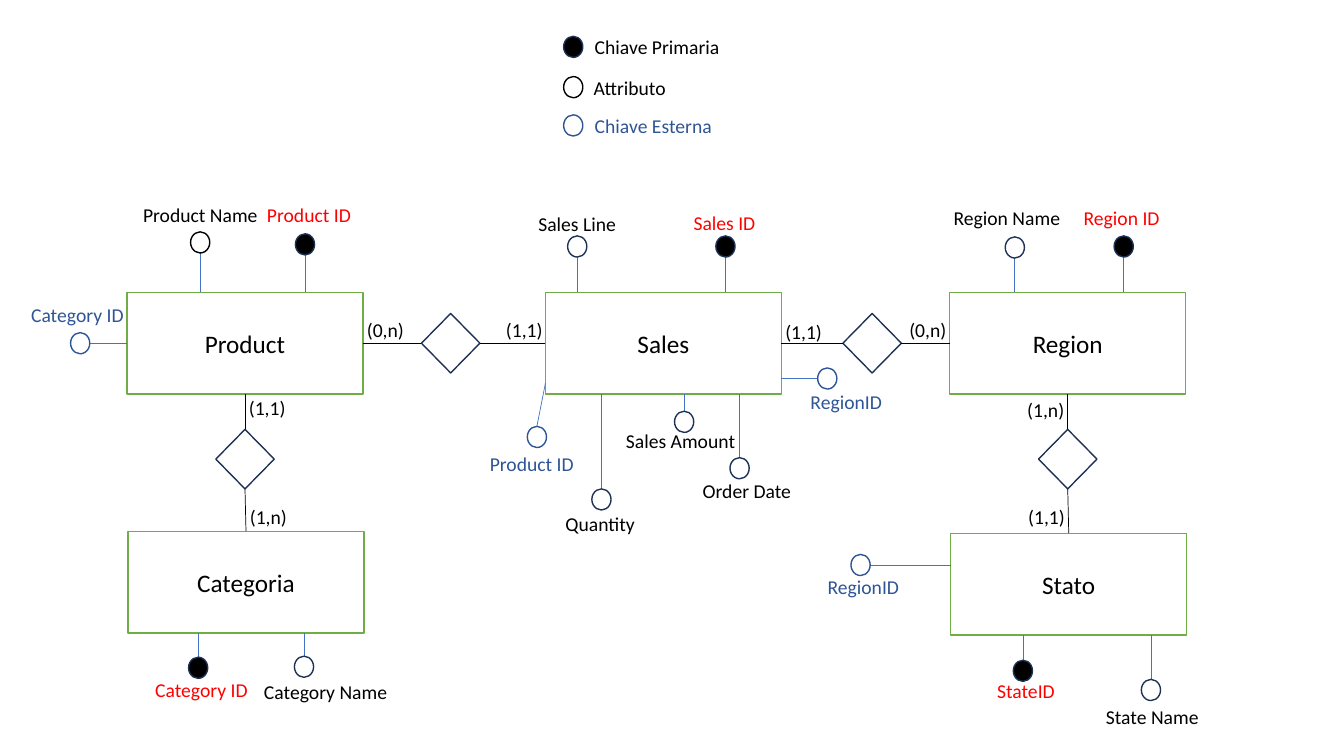
from dataclasses import dataclass

from lxml import etree
from pptx import Presentation
from pptx.dml.color import RGBColor
from pptx.enum.shapes import MSO_CONNECTOR, MSO_SHAPE
from pptx.enum.text import MSO_ANCHOR, MSO_AUTO_SIZE, PP_ALIGN
from pptx.oxml.ns import qn
from pptx.util import Inches, Pt

RECT, DIAMOND, OVAL = MSO_SHAPE.RECTANGLE, MSO_SHAPE.DIAMOND, MSO_SHAPE.OVAL
STRAIGHT = MSO_CONNECTOR.STRAIGHT
MIDDLE, CENTER = MSO_ANCHOR.MIDDLE, PP_ALIGN.CENTER
GROW = MSO_AUTO_SIZE.SHAPE_TO_FIT_TEXT
TOP, LEFT, BOTTOM, RIGHT = range(4)


@dataclass(frozen=True)
class Theme:
    font: str = "Calibri"
    entity_size: int = 18
    label_size: int = 14
    outline: float = 1
    hairline: float = 0.5
    black: str = "000000"
    white: str = "FFFFFF"
    green: str = "70AD47"
    navy: str = "1E3256"
    blue: str = "2F5597"
    link: str = "4472C4"
    red: str = "FF0000"


@dataclass(frozen=True)
class Kind:
    fill: str | None
    line: str
    text: str


@dataclass(frozen=True)
class Attribute:
    kind: Kind
    label: str
    side: int
    dot: tuple
    text: tuple
    width: float
    anchor: tuple | None = None


THEME = Theme()
PRIMARY = Kind(THEME.black, THEME.navy, THEME.red)
PLAIN = Kind(None, THEME.navy, THEME.black)
NAMED = Kind(THEME.white, THEME.black, THEME.black)
FOREIGN = Kind(None, THEME.blue, THEME.blue)

ENTITY_W, ENTITY_H = 2.34, 1.01
DOT_W, DOT_H = 0.19, 0.21
DIAMOND_W, DIAMOND_H = 0.58, 0.59
LABEL_H, CARDINALITY_W = 0.34, 0.57

ENTITIES = {
    "Product": ((1.26, 2.9), [
        Attribute(PRIMARY, "Product ID", TOP, (1.67, -0.58), (1.29, -0.94), 1.04),
        Attribute(NAMED, "Product Name", TOP, (0.63, -0.6), (0.06, -0.94), 1.35),
        Attribute(FOREIGN, "Category ID", LEFT, (-0.56, 0.4), (-1.05, 0.06), 1.13),
    ]),
    "Sales": ((5.41, 2.9), [
        Attribute(PLAIN, "Sales Line", TOP, (0.22, -0.56), (-0.17, -0.85), 0.98),
        Attribute(PRIMARY, "Sales ID", TOP, (1.69, -0.56), (1.37, -0.86), 0.82),
        Attribute(FOREIGN, "Product ID", BOTTOM, (-0.18, 1.33), (-0.65, 1.53), 1.04, (0, 0.9)),
        Attribute(PLAIN, "Quantity", BOTTOM, (0.46, 1.95), (0.1, 2.13), 0.9),
        Attribute(PLAIN, "Sales Amount", BOTTOM, (1.28, 1.18), (0.7, 1.31), 1.3),
        Attribute(PLAIN, "Order Date", BOTTOM, (1.83, 1.64), (1.46, 1.8), 1.09),
        Attribute(FOREIGN, "RegionID", RIGHT, (2.7, 0.75), (2.53, 0.92), 0.92),
    ]),
    "Region": ((9.42, 2.9), [
        Attribute(PLAIN, "Region Name", TOP, (0.55, -0.55), (-0.06, -0.91), 1.27),
        Attribute(PRIMARY, "Region ID", TOP, (1.63, -0.56), (1.23, -0.91), 0.96),
    ]),
    "Categoria": ((1.27, 5.27), [
        Attribute(PRIMARY, "Category ID", BOTTOM, (0.6, 1.25), (0.17, 1.41), 1.13),
        Attribute(PLAIN, "Category Name", BOTTOM, (1.65, 1.24), (1.25, 1.43), 1.44),
    ]),
    "Stato": ((9.43, 5.29), [
        Attribute(FOREIGN, "RegionID", LEFT, (-0.99, 0.21), (-1.32, 0.36), 0.92),
        Attribute(PRIMARY, "StateID", BOTTOM, (0.62, 1.26), (0.36, 1.4), 0.78),
        Attribute(PLAIN, "State Name", BOTTOM, (1.89, 1.45), (1.44, 1.65), 1.13),
    ]),
}

RELATIONS = [
    ("Product", RIGHT, "Sales", LEFT, (4.18, 3.11),
     [("(0,n)", -0.64, 0), ("(1,1)", 0.74, 0)]),
    ("Sales", RIGHT, "Region", LEFT, (8.36, 3.11),
     [("(1,1)", -0.67, 0.01), ("(0,n)", 0.56, 0)]),
    ("Product", BOTTOM, "Categoria", TOP, (2.14, 4.26),
     [("(1,1)", 0.23, -0.38), ("(1,n)", 0.24, 0.7)]),
    ("Region", BOTTOM, "Stato", TOP, (10.3, 4.26),
     [("(1,n)", -0.21, -0.36), ("(1,1)", -0.2, 0.7)]),
]

LEGEND = [
    (PRIMARY, "Chiave Primaria", THEME.black, 0, 0.21, 1.45),
    (NAMED, "Attributo", THEME.black, 0.4, 0.2, 0.93),
    (FOREIGN, "Chiave Esterna", THEME.blue, 0.78, 0.21, 1.38),
]


def add_outlined(slide, preset, x, y, w, h, fill, line):
    sp = slide.shapes.add_shape(preset, Inches(x), Inches(y), Inches(w), Inches(h))
    sp.shadow.inherit = False
    if fill:
        sp.fill.solid()
        sp.fill.fore_color.rgb = RGBColor.from_string(fill)
    else:
        sp.fill.background()
    sp.line.color.rgb = RGBColor.from_string(line)
    sp.line.width = Pt(THEME.outline)
    return sp


def add_run(p, text, size, color):
    r = p.add_run()
    r.text = text
    r.font.name = THEME.font
    r.font.size = Pt(size)
    r.font.color.rgb = RGBColor.from_string(color)


def add_label(slide, text, x, y, w, color):
    tf = slide.shapes.add_textbox(Inches(x), Inches(y), Inches(w), Inches(LABEL_H)).text_frame
    tf.word_wrap = False
    tf.auto_size = GROW
    add_run(tf.paragraphs[0], text, THEME.label_size, color)


def add_line(slide, start, end, color):
    cx = slide.shapes.add_connector(STRAIGHT, *(Inches(v) for v in (*start, *end)))
    cx.line.color.rgb = RGBColor.from_string(color)
    cx.line.width = Pt(THEME.hairline)
    etree.SubElement(cx._element.spPr, qn("a:effectLst"))
    return cx


def side_middle(x, y, w, h, side):
    return [(x + w / 2, y), (x, y + h / 2), (x + w / 2, y + h), (x + w, y + h / 2)][side]


def add_attribute(slide, sp, x, y, attr):
    dot_x, dot_y = x + attr.dot[0], y + attr.dot[1]
    start = side_middle(dot_x, dot_y, DOT_W, DOT_H, (attr.side + 2) % 4)
    middle = side_middle(x, y, ENTITY_W, ENTITY_H, attr.side)
    if attr.anchor:
        end = x + attr.anchor[0], y + attr.anchor[1]
    elif attr.side in (TOP, BOTTOM):
        end = start[0], middle[1]
    else:
        end = middle[0], start[1]
    cx = add_line(slide, start, end, THEME.link)
    if max(abs(end[0] - middle[0]), abs(end[1] - middle[1])) < 0.01:
        cx.end_connect(sp, attr.side)
    add_outlined(slide, OVAL, dot_x, dot_y, DOT_W, DOT_H, attr.kind.fill, attr.kind.line)
    add_label(slide, attr.label, x + attr.text[0], y + attr.text[1], attr.width, attr.kind.text)


def add_entity(slide, name, x, y, attributes):
    sp = add_outlined(slide, RECT, x, y, ENTITY_W, ENTITY_H, THEME.white, THEME.green)
    tf = sp.text_frame
    tf.vertical_anchor = MIDDLE
    p = tf.paragraphs[0]
    p.alignment = CENTER
    add_run(p, name, THEME.entity_size, THEME.black)
    for attr in attributes:
        add_attribute(slide, sp, x, y, attr)
    return sp


def add_relation(slide, x, y, ends, cardinalities):
    diamond = add_outlined(slide, DIAMOND, x, y, DIAMOND_W, DIAMOND_H, None, THEME.navy)
    for (entity, side), (text, dx, dy) in zip(ends, cardinalities):
        cx = add_line(slide, (x, y), (x, y), THEME.black)
        cx.begin_connect(entity, side)
        cx.end_connect(diamond, (side + 2) % 4)
        add_label(slide, text, x + dx, y + dy, CARDINALITY_W, THEME.black)


def add_legend(slide, x, y):
    for kind, text, color, dy, dx, width in LEGEND:
        add_outlined(slide, OVAL, x, y + dy, DOT_W, DOT_H, kind.fill, kind.line)
        add_label(slide, text, x + dx, y + dy - 0.06, width, color)


def main():
    prs = Presentation()
    prs.slide_width, prs.slide_height = Inches(13.33), Inches(7.5)
    slide = prs.slides.add_slide(prs.slide_layouts[6])
    add_legend(slide, 5.59, 0.36)
    entities = {name: add_entity(slide, name, *at, attributes)
                for name, (at, attributes) in ENTITIES.items()}
    for a, side_a, b, side_b, at, cardinalities in RELATIONS:
        add_relation(slide, *at, [(entities[a], side_a), (entities[b], side_b)], cardinalities)
    prs.save("out.pptx")


if __name__ == "__main__":
    main()
